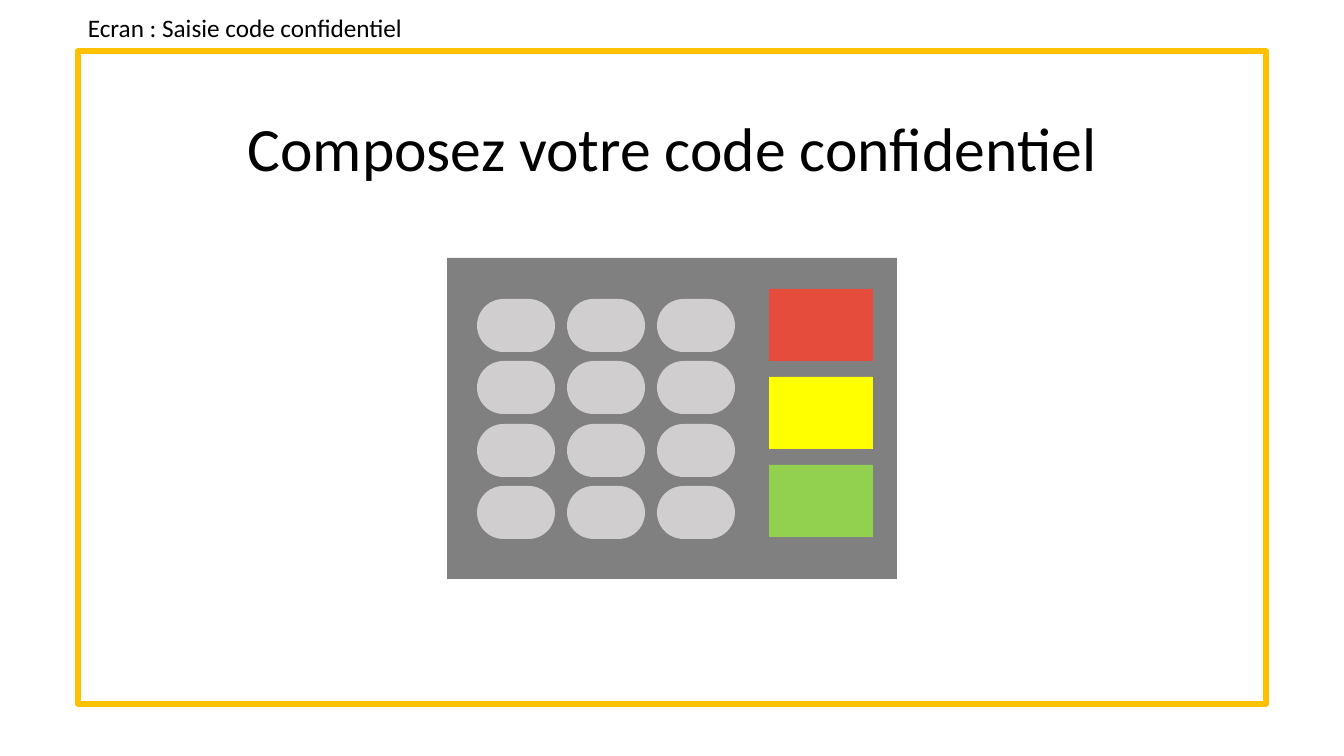
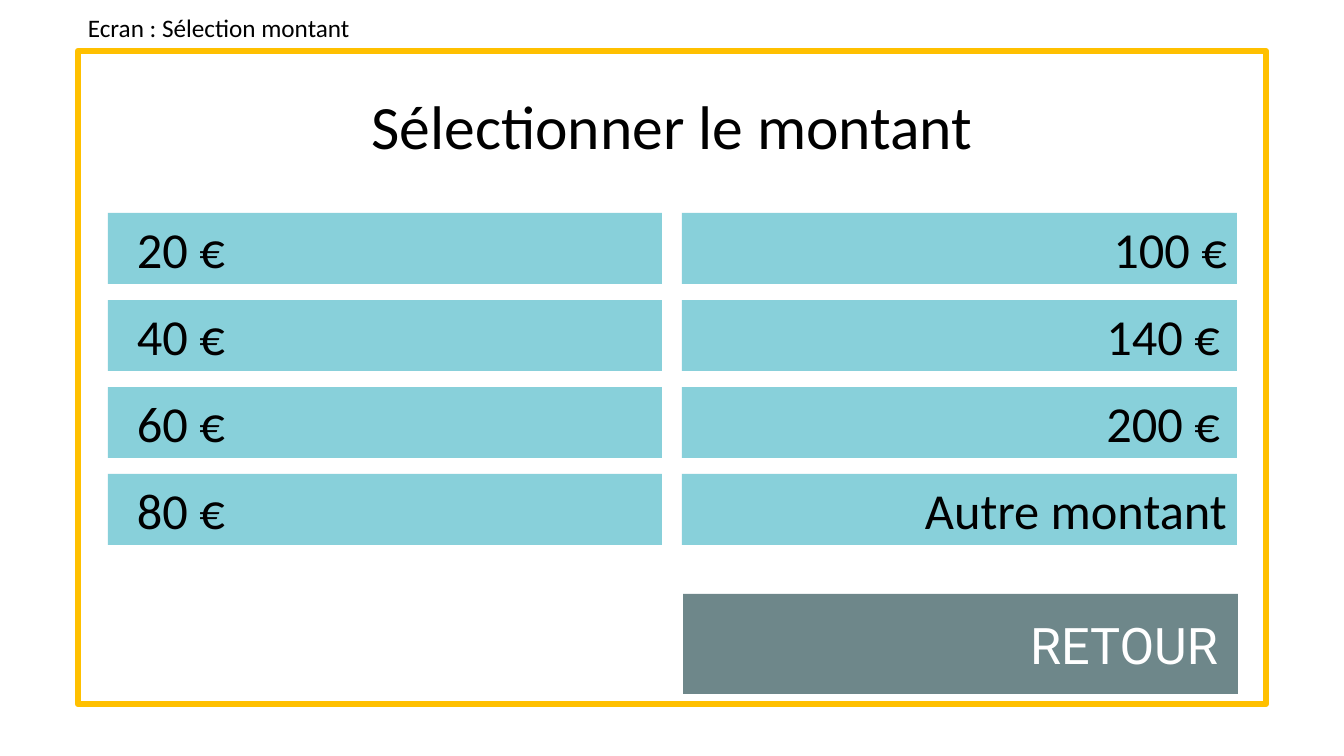
from lxml.etree import SubElement
from pptx import Presentation
from pptx.dml.color import RGBColor
from pptx.enum.shapes import MSO_SHAPE
from pptx.enum.text import MSO_ANCHOR, MSO_AUTO_SIZE, PP_ALIGN
from pptx.oxml.ns import qn
from pptx.util import Pt

SCALE = 914400 / 100.8
HUES = {
    "ink": "000000", "white": "FFFFFF", "frame": "FFC000",
    "bar": "43B6C5", "back": "153E43", "panel": "808080",
    "key": "D0CECE", "cancel": "E64C3C", "clear": "FFFF00", "enter": "92D050",
}
TITLE = {"size": Pt(44), "name": "Calibri"}
NOTE = {"size": Pt(18), "name": "Calibri"}
LABEL = {"size": Pt(36), "name": "Calibri"}
RETURN = {"size": Pt(36), "name": "Roboto"}


def px(num):
    """Turn pixels into EMU."""
    return round(num * SCALE)


def hue(name):
    """Look up a named colour."""
    return RGBColor.from_string(HUES[name])


def assign(item, values):
    """Set each attribute of item from a dict."""
    for name, value in values.items():
        setattr(item, name, value)


def write(shape, text, font, tint="ink", para=None, **frame):
    """Put one styled paragraph into a shape."""
    body = shape.text_frame
    body.text = text
    assign(body, frame)
    line = body.paragraphs[0]
    assign(line, para or {})
    assign(line.font, font)
    line.font.color.rgb = hue(tint)


def block(shapes, box, fill=None, alpha=100, kind=MSO_SHAPE.RECTANGLE):
    """Add a flat shape without outline, clear when fill is None."""
    shape = shapes.add_shape(kind, *map(px, box))
    shape.shadow.inherit = False
    shape.line.fill.background()
    if fill is None:
        shape.fill.background()
        return shape
    shape.fill.solid()
    shape.fill.fore_color.rgb = hue(fill)
    if alpha < 100:
        tone = shape.fill._xPr.find(".//" + qn("a:srgbClr"))
        SubElement(tone, qn("a:alpha")).set("val", str(alpha * 1000))
    return shape


def screen(deck, note, title, top):
    """Add a slide with its caption, title and yellow frame."""
    slide = deck.slides.add_slide(deck.slide_layouts[5])
    edge = block(slide.shapes, (78, 51, 1188, 653)).line
    edge.color.rgb = hue("frame")
    edge.width = Pt(4.5)
    head = slide.shapes.title
    assign(head, dict(zip(("left", "top", "width", "height"),
                          map(px, (93, top, 1159, 146)))))
    write(head, title, TITLE, auto_size=MSO_AUTO_SIZE.NONE,
          vertical_anchor=MSO_ANCHOR.MIDDLE,
          para={"alignment": PP_ALIGN.CENTER, "line_spacing": 0.9})
    text = slide.shapes.add_textbox(*map(px, (78, 7, 339, 40)))
    write(text, note, NOTE, word_wrap=False)
    return slide


def keypad(slide):
    """Draw the grouped keypad: panel, twelve keys, three commands."""
    pad = slide.shapes.add_group_shape().shapes
    block(pad, (447, 258, 450, 321), "panel")
    for row in range(4):
        for col in range(3):
            box = (477 + 90 * col, 299 + 125 * row // 2, 78, 53)
            key = block(pad, box, "key", kind=MSO_SHAPE.ROUNDED_RECTANGLE)
            key.adjustments[0] = 0.5
    for row, name in enumerate(("cancel", "clear", "enter")):
        block(pad, (769, 289 + 88 * row, 104, 72), name)


def button(slide, box, text, inset, fill="bar", alpha=63,
           font=LABEL, tint="ink", right=True):
    """Add a see-through bar with its label inset from one side."""
    shape = block(slide.shapes, box, fill, alpha)
    side = "margin_right" if right else "margin_left"
    align = PP_ALIGN.RIGHT if right else PP_ALIGN.LEFT
    write(shape, text, font, tint, para={"alignment": align},
          vertical_anchor=MSO_ANCHOR.MIDDLE, **{side: px(inset)})


def amounts(slide):
    """Lay out the two columns of amounts and the return button."""
    rows = (("20 €", "100 €", 10), ("40 €", "140 €", 17),
            ("60 €", "200 €", 17), ("80 €", "Autre montant", 10))
    for row, (low, high, inset) in enumerate(rows):
        top = 213 + 87 * row
        button(slide, (108, top, 554, 71), low, 29, right=False)
        button(slide, (682, top, 555, 71), high, inset)
    button(slide, (683, 594, 555, 100), "RETOUR", 20, "back", 62,
           RETURN, "white")


def main():
    """Build and save both screens."""
    deck = Presentation()
    assign(deck, {"slide_width": px(1344), "slide_height": px(756)})
    keypad(screen(deck, "Ecran : Saisie code confidentiel",
                  "Composez votre code confidentiel", 79))
    amounts(screen(deck, "Ecran : Sélection montant",
                   "Sélectionner le montant", 57))
    deck.save("out.pptx")


main()
